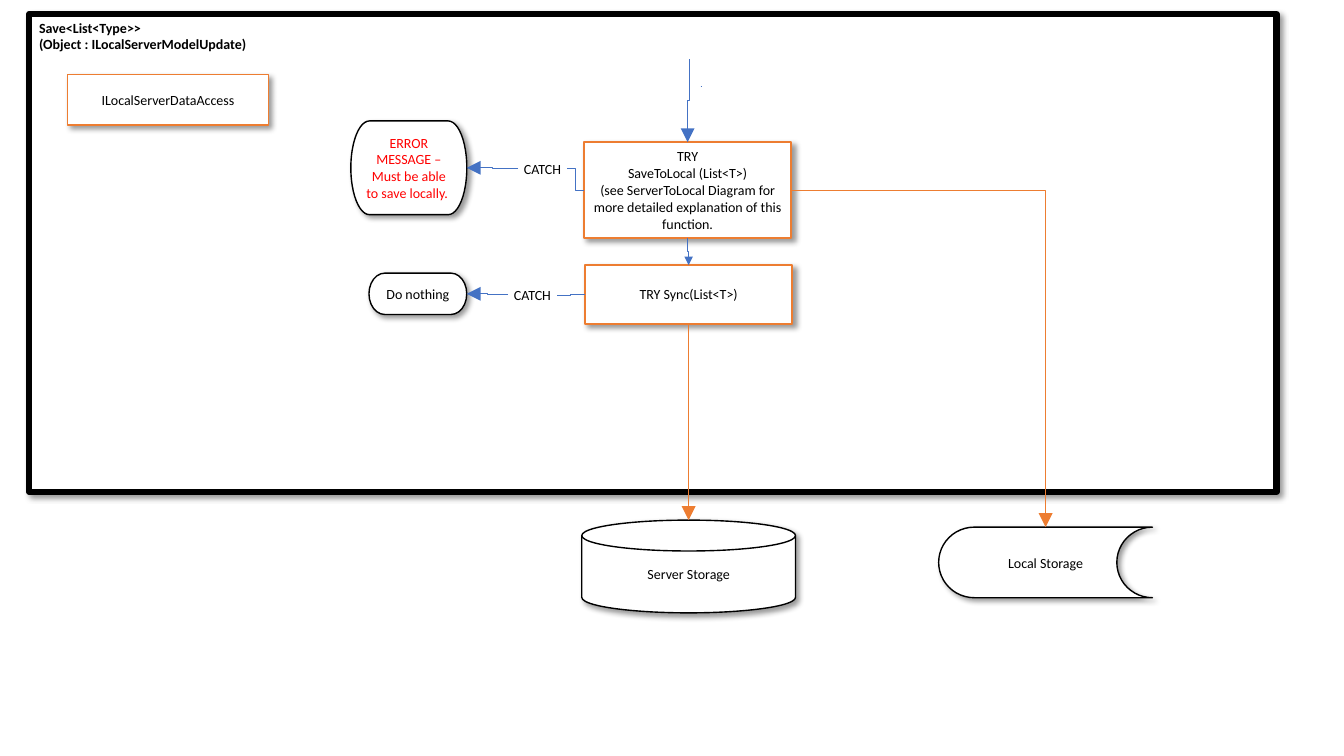
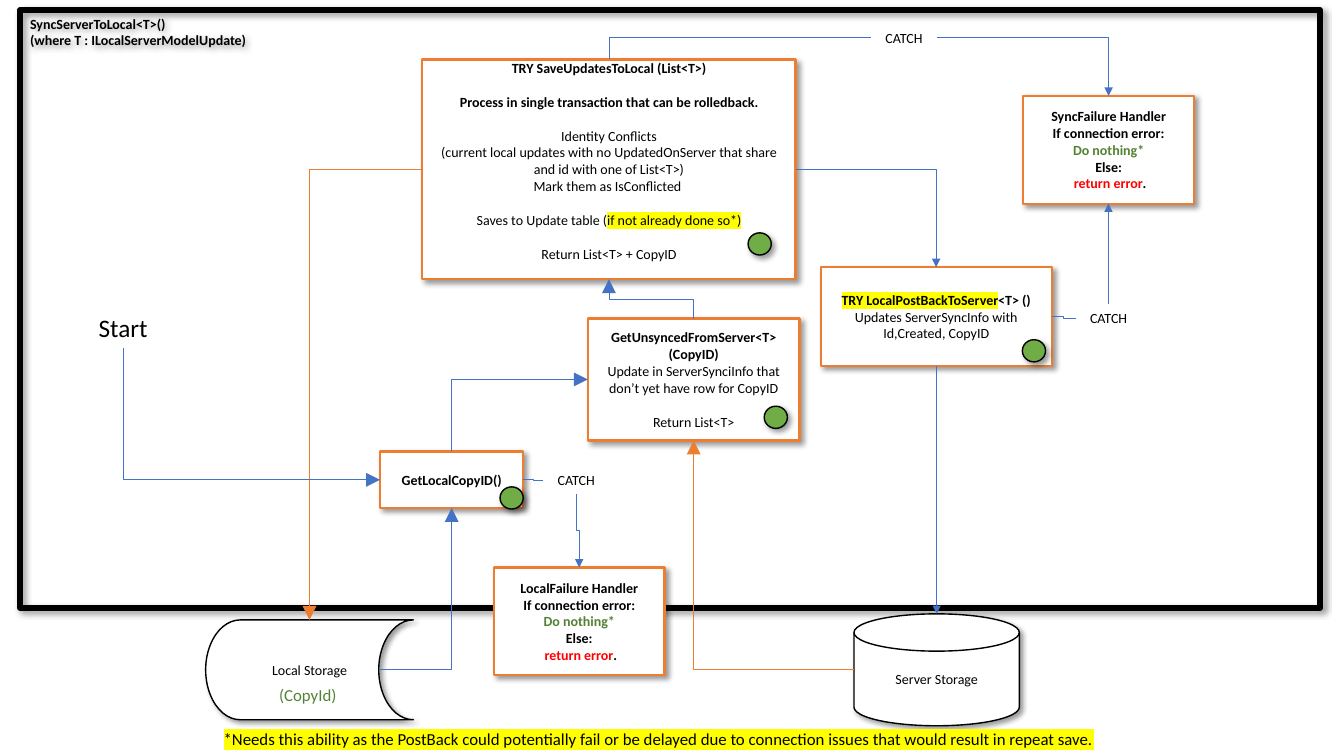
"""Build two flow diagrams: saving a list, and syncing server updates to local storage."""
from lxml import etree
from pptx import Presentation
from pptx.dml.color import RGBColor
from pptx.enum import shapes, text
from pptx.oxml.ns import qn
from pptx.util import Inches, Pt

COLORS = {"black": "000000", "white": "FFFFFF", "orange": "ED7D31", "blue": "4472C4",
          "red": "FF0000", "green": "548235", "dot": "70AD47", "yellow": "FFFF00"}
FONT = "Calibri"
LINE_GAP = Pt(12.2)
KIND = shapes.MSO_SHAPE
BOX, DISK, STORE, PILL = (KIND.FLOWCHART_PROCESS, KIND.FLOWCHART_MAGNETIC_DISK,
                          KIND.FLOWCHART_STORED_DATA, KIND.FLOWCHART_TERMINATOR)
STORE = KIND.FLOWCHART_STORED_DATA
SITES = {"top": (0, 0.5, 0), "left": (1, 0, 0.5), "bottom": (2, 0.5, 1), "right": (3, 1, 0.5),
         "disk top": (1, 0.5, 0), "disk left": (2, 0, 0.5), "store right": (3, 5 / 6, 0.5)}
BOLD = {"bold": True}
MARKED = {"mark": "yellow"}


def put(slide, at, paragraphs=(), kind=None, fill="white", line="black", weight=1.0, size=10,
        color="black", bold=False, align="CENTER", anchor="MIDDLE", inset=None, bottom=None,
        wrap=True, gaps=()):
    """Place a shape or, without a kind, a text box and write its formatted paragraphs."""
    place = [Inches(length) for length in at]
    if kind is None:
        part = slide.shapes.add_textbox(*place)
    else:
        part = slide.shapes.add_shape(kind, *place)
        if fill:
            part.fill.solid()
            part.fill.fore_color.rgb = RGBColor.from_string(COLORS[fill])
        else:
            part.fill.background()
        part.line.color.rgb = RGBColor.from_string(COLORS[line])
        part.line.width = Pt(weight)
        part.shadow.inherit = False
        effects = part._element.spPr.find(qn("a:effectLst"))
        shadow = etree.SubElement(effects, qn("a:outerShdw"), blurRad=str(Pt(4)), dist=str(Pt(3)),
                                  dir="2700000", algn="tl", rotWithShape="0")
        shade = etree.SubElement(shadow, qn("a:srgbClr"), val=COLORS["black"])
        etree.SubElement(shade, qn("a:alpha"), val="40000")
    frame = part.text_frame
    frame.word_wrap = wrap
    frame.vertical_anchor = text.MSO_ANCHOR[anchor]
    if inset is not None:
        frame.margin_left = frame.margin_right = Inches(inset)
        frame.margin_top = frame.margin_bottom = Inches(inset)
    if bottom is not None:
        frame.margin_bottom = Inches(bottom)
    for number, runs in enumerate(paragraphs):
        paragraph = frame.add_paragraph() if number else frame.paragraphs[0]
        paragraph.alignment = text.PP_ALIGN[align]
        if number in gaps:
            paragraph.space_before = LINE_GAP
        for words, style in [(runs, {})] if isinstance(runs, str) else runs:
            run = paragraph.add_run()
            run.text = words
            run.font.size = Pt(size)
            run.font.bold = style.get("bold", bold)
            run.font.color.rgb = RGBColor.from_string(COLORS[style.get("color", color)])
            if "mark" in style:
                mark = etree.SubElement(run.font._element, qn("a:highlight"))
                etree.SubElement(mark, qn("a:srgbClr"), val=COLORS[style["mark"]])
            run.font.name = FONT
    return part


def link(slide, start, start_site, end, end_site, color="blue", arrow="lg"):
    """Draw an elbow between two parts or points, leaving and arriving at the named sites."""
    points = []
    for part, site in ((start, start_site), (end, end_site)):
        if isinstance(part, tuple):
            points += [Inches(length) for length in part]
        else:
            _, across, down = SITES[site]
            points += [int(part.left + part.width * across), int(part.top + part.height * down)]
    elbow = slide.shapes.add_connector(shapes.MSO_CONNECTOR.ELBOW, *points)
    if not isinstance(start, tuple):
        elbow.begin_connect(start, SITES[start_site][0])
    if not isinstance(end, tuple):
        elbow.end_connect(end, SITES[end_site][0])
    x1, y1, x2, y2 = points
    leaves_upright, arrives_upright = (SITES[site][1] == 0.5 for site in (start_site, end_site))
    properties = elbow._element.spPr
    if leaves_upright:
        middle_x, middle_y = (x1 + x2) // 2, (y1 + y2) // 2
        half_x, half_y = (x2 - x1) // 2, (y2 - y1) // 2
        x1, x2 = middle_x - half_y, middle_x + half_y
        y1, y2 = middle_y + half_x, middle_y - half_x
        properties.find(qn("a:xfrm")).set("rot", "5400000")
    elbow.begin_x, elbow.begin_y, elbow.end_x, elbow.end_y = x1, y1, x2, y2
    if leaves_upright != arrives_upright:
        properties.find(qn("a:prstGeom")).set("prst", "bentConnector2")
    elbow.line.color.rgb = RGBColor.from_string(COLORS[color])
    elbow.line.width = Pt(0.5)
    if arrow:
        etree.SubElement(properties.find(qn("a:ln")), qn("a:tailEnd"), type="triangle",
                         w=arrow, len=arrow)
    etree.SubElement(properties, qn("a:effectLst"))


deck = Presentation()
deck.slide_width, deck.slide_height = Inches(13.33), Inches(7.5)
blank = deck.slide_layouts[6]
step = {"kind": BOX, "line": "orange", "weight": 1.5}
scope = {"kind": BOX, "weight": 4.5, "bold": True, "align": "LEFT", "anchor": "TOP"}

save = deck.slides.add_slide(blank)
put(save, (0.29, 0.14, 12.37, 4.74), ["Save<List<Type>>", "(Object : ILocalServerModelUpdate)"],
    **scope)
local_store = put(save, (9.31, 5.23, 2.12, 0.7), ["Local Storage"], kind=STORE)
server_store = put(save, (5.77, 5.16, 2.12, 0.92), ["Server Storage"], kind=DISK)
save_local = put(save, (5.79, 1.41, 2.06, 0.95), [
    "TRY", "SaveToLocal (List<T>)",
    "(see ServerToLocal Diagram for more detailed explanation of this function."], **step)
sync = put(save, (5.8, 2.63, 2.06, 0.58), ["TRY Sync(List<T>)"], **step)
put(save, (0.67, 0.74, 1.99, 0.5), ["ILocalServerDataAccess"], kind=BOX, line="orange", inset=0)
error = put(save, (3.48, 1.2, 1.15, 0.93), ["ERROR MESSAGE – Must be able to save locally. "],
            kind=PILL, color="red")
nothing = put(save, (3.66, 2.71, 0.97, 0.41), ["Do nothing"], kind=PILL)
save_catch, sync_catch = (put(save, (left, top, 0.48, 0.17), ["CATCH"], anchor="TOP", inset=0)
                          for left, top in ((5.14, 1.59), (5.04, 2.84)))
for route in (
    (save_catch, "left", error, "right"),
    (save_local, "right", local_store, "top", "orange"),
    (sync, "bottom", server_store, "disk top", "orange"),
    (save_local, "left", save_catch, "right", "blue", None),
    (save_local, "bottom", sync, "top", "blue", "med"),
    ((6.95, 0.86), "bottom", (6.96, 0.86), "top", "blue", None),
    ((6.84, 0.59), "bottom", save_local, "top"),
    (sync_catch, "left", nothing, "right"),
    (sync, "left", sync_catch, "right", "blue", None),
):
    link(save, *route)

pull = deck.slides.add_slide(blank)
put(pull, (0.2, 0.1, 12.89, 5.93),
    ["SyncServerToLocal<T>()", "(where T : ILocalServerModelUpdate)"], fill=None, **scope)
local_store = put(pull, (2.04, 6.15, 2.06, 0.99), ["Local Storage"], kind=STORE)
server_store = put(pull, (8.47, 6.09, 1.64, 1.11), ["Server Storage"], kind=DISK)
put(pull, (2.67, 6.74, 0.77, 0.3), ["(CopyId)"], size=12, color="green", align="LEFT",
    anchor="TOP", wrap=False)
get_unsynced = put(pull, (5.83, 3.16, 2.1, 1.21), [
    [("GetUnsyncedFromServer<T> (CopyID)", BOLD)],
    "Update in ServerSynciInfo that don’t yet have row for CopyID",
    "Return List<T>"], gaps=(2,), **step)
save_updates = put(pull, (4.19, 0.59, 3.7, 2.18), [
    [("TRY SaveUpdatesToLocal (List<T>)", BOLD)],
    [("Process in single transaction that can be rolledback.", BOLD)],
    "Identity Conflicts",
    "(current local updates with no UpdatedOnServer that share and id with one of List<T>)",
    "Mark them as IsConflicted ",
    [("Saves to Update table (", {}), ("if not already done so*)", MARKED)],
    "Return List<T> + CopyID"], gaps=(1, 2, 5, 6), bottom=0.22, **step)
post_back = put(pull, (8.14, 2.65, 2.29, 0.98), [
    [("TRY LocalPostBackToServer", BOLD | MARKED), ("<T> ()", BOLD)],
    "Updates ServerSyncInfo with Id,Created, CopyID"], **step)
get_copy_id = put(pull, (3.77, 4.48, 1.42, 0.56), ["GetLocalCopyID()"], bold=True, **step)
sync_failure, local_failure = (
    put(pull, (left, top, 1.69, 1.07), [
        f"{name} Handler", "If connection error:", [("Do nothing*", {"color": "green"})], "Else:",
        [(" ", {}), ("return error", {"color": "red"}), (".", {})]], bold=True, **step)
    for name, left, top in (("SyncFailure", 10.15, 0.95), ("LocalFailure", 4.9, 5.63)))
save_catch, post_catch, copy_catch = (
    put(pull, (left, top, 0.65, 0.27), ["CATCH"], anchor="TOP")
    for left, top in ((8.64, 0.24), (10.67, 3.02), (5.39, 4.63)))
start = put(pull, (0.88, 3.05, 0.69, 0.4), ["Start"], size=18, align="LEFT", anchor="TOP",
            wrap=False)
put(pull, (2.12, 7.18, 8.93, 0.3), [[(
    "*Needs this ability as the PostBack could potentially fail or be delayed due to connection "
    "issues that would result in repeat save.", MARKED)]],
    size=12, align="LEFT", anchor="TOP", wrap=False)
for route in (
    (get_unsynced, "top", save_updates, "bottom"),
    (save_catch, "right", sync_failure, "top", "blue", "med"),
    (save_updates, "top", save_catch, "left", "blue", None),
    (server_store, "disk left", get_unsynced, "bottom", "orange"),
    (local_store, "store right", get_copy_id, "bottom"),
    (save_updates, "right", post_back, "top", "blue", "med"),
    (post_back, "bottom", server_store, "disk top", "blue", "med"),
    (get_copy_id, "top", get_unsynced, "left"),
    (save_updates, "left", local_store, "top", "orange"),
    (post_back, "right", post_catch, "left", "blue", None),
    (post_catch, "top", sync_failure, "bottom", "blue", "med"),
    (start, "bottom", get_copy_id, "left"),
    (copy_catch, "bottom", local_failure, "top", "blue", "med"),
    (get_copy_id, "right", copy_catch, "left", "blue", None),
):
    link(pull, *route)
for left, top in ((4.96, 4.83), (7.58, 4.03), (7.42, 2.31), (10.14, 3.37)):
    put(pull, (left, top, 0.23, 0.22), kind=KIND.OVAL, fill="dot")

deck.save("out.pptx")
